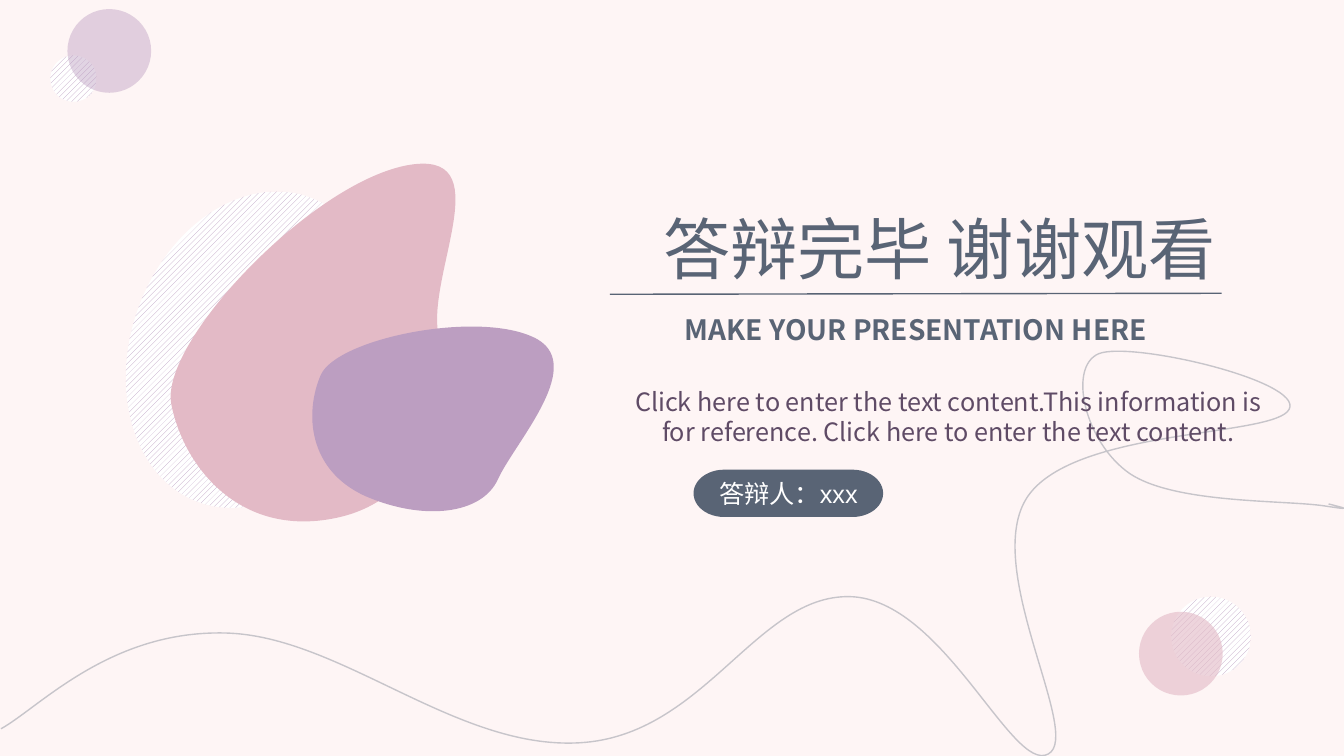
from math import cos, radians, sin

from lxml.etree import SubElement
from pptx import Presentation
from pptx.dml.color import RGBColor
from pptx.enum.dml import MSO_PATTERN
from pptx.enum.shapes import MSO_CONNECTOR, MSO_SHAPE
from pptx.enum.text import MSO_ANCHOR, PP_ALIGN
from pptx.oxml.ns import qn
from pptx.util import Pt

BLUSH = RGBColor(0xFD, 0xE8, 0xE9)
WHITE = RGBColor(0xFF, 0xFF, 0xFF)
PINK = RGBColor(0xE3, 0xBA, 0xC6)
LILAC = RGBColor(0xBC, 0x9E, 0xC1)
SLATE = RGBColor(0x59, 0x64, 0x75)
PLUM = RGBColor(0x5F, 0x4B, 0x66)
SANS = "Noto Sans CJK JP"
STEPS = 24

# Each outline is a start point followed by triples of Bézier points
PINK_PETAL = [
    (122.4, 288.7),
    (113.8, 244.8), (221, 131.8), (290.2, 118.1),
    (358.6, 105.1), (304.6, 195.1), (313.2, 239),
    (321.8, 283), (308.2, 356.4), (239, 370.1),
    (170.6, 383.8), (131, 332.6), (122.4, 288.7),
]
LILAC_PETAL = [
    (229, 267.8),
    (240.5, 241.9), (339.1, 221.8), (380.2, 240.5),
    (421.2, 258.5), (367.9, 315.4), (355.7, 342),
    (344.2, 367.9), (301.7, 372.2), (260.6, 354.2),
    (219.6, 335.5), (217.4, 294.5), (229, 267.8),
]
RIBBON = [
    (0.7, 520.6),
    (28.1, 505.4), (78.5, 450), (161.3, 452.2),
    (243.4, 454.3), (325.4, 535.7), (414, 530.6),
    (503.3, 525.6), (540, 424.8), (607, 426.2),
    (673.9, 427.7), (722.9, 553), (748.8, 538.6),
    (774, 524.9), (699.8, 403.9), (734.4, 354.2),
    (769, 305.3), (910.8, 312.5), (920.9, 292.3),
    (931, 272.2), (807.8, 243.4), (784.8, 252.7),
    (762.5, 262.1), (774.7, 316.1), (807.1, 338.4),
    (839.5, 360), (917.3, 357.1), (946.1, 361.4),
    (974.2, 365.8), (951.1, 360.7), (949, 360),
]


def set_alpha(fill_parent, percent):
    clr = next(fill_parent.iter(qn("a:srgbClr")))
    SubElement(clr, qn("a:alpha")).set("val", str(percent * 1000))


def extent(points, axis):
    """Start and length of a chain of cubic curves along one axis."""
    values = []
    for i in range(0, len(points) - 1, 3):
        a, b, c, d = (p[axis] for p in points[i:i + 4])
        for n in range(STEPS + 1):
            t = n / STEPS
            u = 1 - t
            values.append(a * u ** 3 + 3 * b * t * u * u + 3 * c * t * t * u + d * t ** 3)
    return min(values), max(values) - min(values)


def rotate(points, angle, center):
    c, s = cos(radians(angle)), sin(radians(angle))
    cx, cy = center
    return [(cx + (x - cx) * c - (y - cy) * s, cy + (x - cx) * s + (y - cy) * c)
            for x, y in points]


def add_curve(slide, points, closed):
    knots = [(Pt(x), Pt(y)) for x, y in points[::3]]
    builder = slide.shapes.build_freeform(*knots[0], scale=1.0)
    builder.add_line_segments(knots[1:], close=closed)
    sp = builder.convert_to_shape()
    sp.shadow.inherit = False

    # Fit the frame to the curve and turn the segments into cubic ones
    (left, width), (top, height) = extent(points, 0), extent(points, 1)
    sp.left, sp.top, sp.width, sp.height = map(Pt, (left, top, width, height))
    outline = next(sp._element.iter(qn("a:path")))
    outline.set("w", str(sp.width))
    outline.set("h", str(sp.height))
    for child in list(outline):
        outline.remove(child)
    parts = [("a:moveTo", points[:1])]
    parts += [("a:cubicBezTo", points[i:i + 3]) for i in range(1, len(points), 3)]
    if closed:
        parts.append(("a:close", []))
    for tag, pts in parts:
        part = SubElement(outline, qn(tag))
        for x, y in pts:
            pt = SubElement(part, qn("a:pt"))
            pt.set("x", str(Pt(x - left)))
            pt.set("y", str(Pt(y - top)))
    return sp


def add_petal(slide, outline, color, angle, center):
    sp = add_curve(slide, rotate(outline, -angle, center), True)
    sp.rotation = angle
    sp.fill.solid()
    sp.fill.fore_color.rgb = color
    sp.line.fill.background()


def add_ribbon(slide):
    sp = add_curve(slide, RIBBON, False)
    sp.fill.background()
    sp.line.color.rgb = SLATE
    sp.line.width = Pt(1)
    set_alpha(sp._element.spPr, 33)


def add_shape(slide, kind, box):
    sp = slide.shapes.add_shape(kind, *map(Pt, box))
    sp.shadow.inherit = False
    sp.line.fill.background()
    return sp


def add_hatched(slide, box, rotation=0):
    sp = add_shape(slide, MSO_SHAPE.OVAL, box)
    sp.rotation = rotation
    sp.fill.patterned()
    sp.fill.pattern = MSO_PATTERN.WIDE_UPWARD_DIAGONAL
    sp.fill.fore_color.rgb = LILAC
    sp.fill.back_color.rgb = WHITE


def add_dot(slide, box, color, percent):
    sp = add_shape(slide, MSO_SHAPE.OVAL, box)
    sp.fill.solid()
    sp.fill.fore_color.rgb = color
    set_alpha(sp._element.spPr, percent)


def write(sp, text, color, align, wrap=True, **fmt):
    tf = sp.text_frame
    tf.word_wrap = wrap
    p = tf.paragraphs[0]
    p.alignment = align
    r = p.add_run()
    r.text = text
    r.font.color.rgb = color
    for name, value in fmt.items():
        setattr(r.font, name, value)
    SubElement(r._r.get_or_add_rPr(), qn("a:ea")).set("typeface", SANS)


def add_text(slide, box, text, color, align=PP_ALIGN.CENTER, **fmt):
    sp = slide.shapes.add_textbox(*map(Pt, box))
    write(sp, text, color, align, name=SANS, **fmt)


def add_presenter(slide, box, text):
    sp = add_shape(slide, MSO_SHAPE.FLOWCHART_TERMINATOR, box)
    sp.fill.solid()
    sp.fill.fore_color.rgb = SLATE
    sp.text_frame.vertical_anchor = MSO_ANCHOR.MIDDLE
    write(sp, text, WHITE, PP_ALIGN.CENTER, wrap=False, name="Arial", size=Pt(18))


def add_rule(slide, *ends):
    ln = slide.shapes.add_connector(MSO_CONNECTOR.STRAIGHT, *map(Pt, ends))
    ln.line.color.rgb = SLATE
    ln.line.width = Pt(1)
    SubElement(ln._element.spPr, qn("a:effectLst"))


def main():
    prs = Presentation()
    prs.slide_width, prs.slide_height = Pt(960), Pt(540)
    slide = prs.slides.add_slide(prs.slide_layouts[6])
    slide.background.fill.solid()
    slide.background.fill.fore_color.rgb = BLUSH
    set_alpha(slide._element, 41)

    # Petals and ribbon
    add_hatched(slide, (836.6, 426.2, 56.9, 56.9))
    add_hatched(slide, (93.6, 133.9, 175.7, 231.8), rotation=20)
    add_petal(slide, PINK_PETAL, PINK, 349, (230.8, 250.6))
    add_petal(slide, LILAC_PETAL, LILAC, 24, (303.5, 289.4))
    add_ribbon(slide)

    # Closing words
    add_text(slide, (466.6, 144.7, 422.6, 65.5), "答辩完毕 谢谢观看", SLATE,
             PP_ALIGN.LEFT, size=Pt(48))
    add_presenter(slide, (495.4, 335.5, 135.4, 33.8), "答辩人：xxx")
    add_rule(slide, 435.6, 210.2, 872.6, 209.5)
    add_text(slide, (435.6, 272.2, 483.8, 51.1),
             "Click here to enter the text content.This information is for reference. "
             "Click here to enter the text content.", PLUM, size=Pt(18))
    add_text(slide, (461.5, 219.6, 385.2, 31.7), "MAKE YOUR PRESENTATION HERE", SLATE,
             size=Pt(20), bold=True)

    # Corner dots
    add_hatched(slide, (36, 39.6, 33.1, 33.1))
    add_dot(slide, (813.6, 437, 59.8, 59.8), PINK, 61)
    add_dot(slide, (48.2, 6.5, 59.8, 59.8), LILAC, 44)

    prs.save("out.pptx")


if __name__ == "__main__":
    main()
